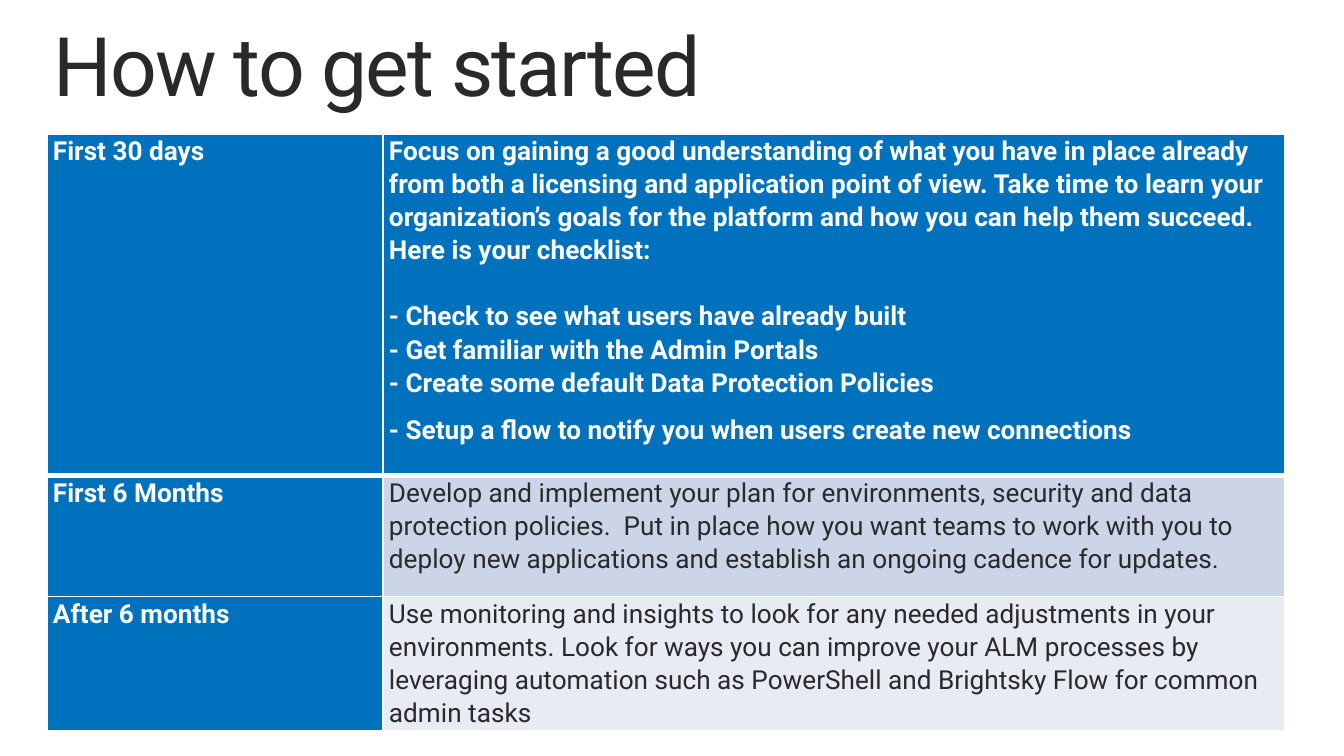
from dataclasses import dataclass

from lxml import etree
from pptx import Presentation
from pptx.dml.color import RGBColor
from pptx.enum.text import MSO_ANCHOR, MSO_AUTO_SIZE, PP_ALIGN
from pptx.oxml.ns import qn
from pptx.util import Inches, Pt

LEFT = PP_ALIGN.LEFT
TOP = MSO_ANCHOR.TOP
FIT_SHAPE = MSO_AUTO_SIZE.SHAPE_TO_FIT_TEXT
TITLE_ONLY_LAYOUT = 5

WHITE = RGBColor(0xFF, 0xFF, 0xFF)
INK = RGBColor(0x29, 0x29, 0x29)
BLUE = RGBColor(0x00, 0x71, 0xBC)
BAND_DARK = RGBColor(0xCC, 0xD5, 0xE7)
BAND_LIGHT = RGBColor(0xE7, 0xEB, 0xF3)

FONT = "Roboto"
SLIDE_WIDTH = Inches(10)
SLIDE_HEIGHT = SLIDE_WIDTH * 9 // 16
COLUMN_WIDTHS = (Inches(2.5), Inches(6.71))
CELL_MARGIN = Pt(3.2)
THIN, THICK = Pt(1), Pt(3)
PARAGRAPH_GAP = 8
CHECKLIST_GAP = 17.7  # one full line


@dataclass(frozen=True)
class Line:
    text: str
    space_after: float = PARAGRAPH_GAP


@dataclass(frozen=True)
class Phase:
    name: str
    lines: tuple[Line, ...]
    height: float
    fill: RGBColor
    color: RGBColor = INK
    bold: bool = False


PHASES = (
    Phase(
        "First 30 days",
        (
            Line(
                "Focus on gaining a good understanding of what you have in place already "
                "from both a licensing and application point of view. Take time to learn "
                "your organization’s goals for the platform and how you can help them "
                "succeed.  Here is your checklist:",
                CHECKLIST_GAP,
            ),
            Line("- Check to see what users have already built", 0),
            Line("- Get familiar with the Admin Portals", 0),
            Line("- Create some default Data Protection Policies"),
            Line("- Setup a flow to notify you when users create new connections"),
        ),
        2.54, BLUE, WHITE, True,
    ),
    Phase(
        "First 6 Months",
        (Line(
            "Develop and implement your plan for environments, security and data "
            "protection policies.  Put in place how you want teams to work with you to "
            "deploy new applications and establish an ongoing cadence for updates."
        ),),
        0.9, BAND_DARK,
    ),
    Phase(
        "After 6 months",
        (Line(
            "Use monitoring and insights to look for any needed adjustments in your "
            "environments. Look for ways you can improve your ALM processes by "
            "leveraging automation such as PowerShell and Brightsky Flow for common "
            "admin tasks"
        ),),
        0.9, BAND_LIGHT,
    ),
)


def write_text(text_frame, lines, *, size, color, bold=False, line_spacing=1.07,
               tracking=0):
    for index, line in enumerate(lines):
        paragraph = text_frame.paragraphs[0] if index == 0 else text_frame.add_paragraph()
        paragraph.alignment = LEFT
        paragraph.line_spacing = line_spacing
        paragraph.space_before = Pt(0)
        paragraph.space_after = Pt(line.space_after)
        run = paragraph.add_run()
        run.text = line.text
        run.font.name = FONT
        run.font.size = Pt(size)
        run.font.bold = bold
        run.font.color.rgb = color
        if tracking:
            run.font._element.set("spc", str(round(tracking * 100)))


def set_header_borders(cell) -> None:
    """Outline a first-row cell; the table style draws the borders of the others."""
    properties = cell._tc.get_or_add_tcPr()
    for tag, width in (("lnL", THIN), ("lnR", THIN), ("lnT", THIN), ("lnB", THICK)):
        border = etree.SubElement(properties, qn(f"a:{tag}"), w=str(width))
        fill = etree.SubElement(border, qn("a:solidFill"))
        etree.SubElement(fill, qn("a:srgbClr"), val=str(WHITE))


def format_cell(cell, fill: RGBColor, is_header: bool) -> None:
    cell.margin_left = cell.margin_right = CELL_MARGIN
    cell.margin_top = cell.margin_bottom = 0
    cell.vertical_anchor = TOP
    if is_header:
        set_header_borders(cell)
    cell.fill.solid()
    cell.fill.fore_color.rgb = fill


def add_title(slide, text: str) -> None:
    title = slide.shapes.title
    title.left, title.top = Inches(0.4), Inches(0.19)
    title.width, title.height = Inches(9.27), Inches(0.67)
    frame = title.text_frame
    frame.margin_left = frame.margin_right = frame.margin_top = frame.margin_bottom = 0
    frame.vertical_anchor = TOP
    frame.word_wrap = True
    frame.auto_size = FIT_SHAPE
    write_text(frame, (Line(text, 0),), size=44, color=INK, line_spacing=0.9, tracking=-1)


def add_phase_table(slide, phases: tuple[Phase, ...]) -> None:
    height = Inches(sum(phase.height for phase in phases))
    table = slide.shapes.add_table(
        len(phases), len(COLUMN_WIDTHS), Inches(0.35), Inches(1), sum(COLUMN_WIDTHS), height
    ).table
    table.first_col = True
    for column, width in zip(table.columns, COLUMN_WIDTHS):
        column.width = width
    for index, phase in enumerate(phases):
        table.rows[index].height = Inches(phase.height)
        name_cell, detail_cell = table.cell(index, 0), table.cell(index, 1)
        format_cell(name_cell, BLUE, index == 0)
        format_cell(detail_cell, phase.fill, index == 0)
        write_text(name_cell.text_frame, (Line(phase.name),), size=14, color=WHITE, bold=True)
        write_text(detail_cell.text_frame, phase.lines, size=14, color=phase.color,
                   bold=phase.bold)


def main() -> None:
    presentation = Presentation()
    presentation.slide_width, presentation.slide_height = SLIDE_WIDTH, SLIDE_HEIGHT
    slide = presentation.slides.add_slide(presentation.slide_layouts[TITLE_ONLY_LAYOUT])
    slide.background.fill.solid()
    slide.background.fill.fore_color.rgb = WHITE
    add_title(slide, "How to get started")
    add_phase_table(slide, PHASES)
    presentation.save("out.pptx")


if __name__ == "__main__":
    main()
